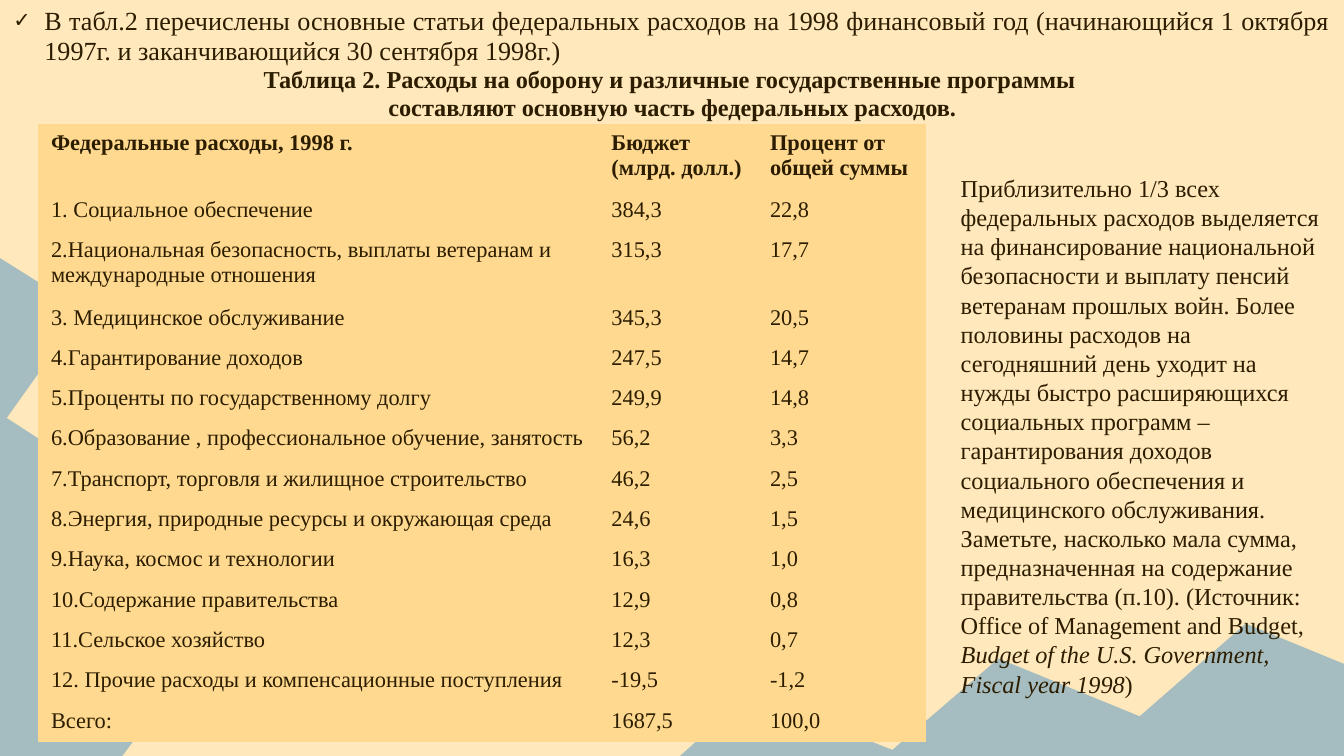
from lxml import etree
from pptx import Presentation
from pptx.dml.color import RGBColor
from pptx.enum.text import MSO_ANCHOR, MSO_AUTO_SIZE, PP_ALIGN
from pptx.oxml.ns import qn
from pptx.util import Inches, Pt

CREAM = RGBColor(0xFF, 0xE8, 0xBB)
SAND = RGBColor(0xFF, 0xD9, 0x8F)
BLUE_GRAY = RGBColor(0xA5, 0xBD, 0xC0)
BROWN = RGBColor(0x2C, 0x1D, 0x00)
FONT = "Times New Roman"
NO_STYLE = "{2D5ABB26-0587-4C30-8999-92F81FD0307C}"
JUSTIFY, CENTER = PP_ALIGN.JUSTIFY, PP_ALIGN.CENTER
TOP, NO_FIT = MSO_ANCHOR.TOP, MSO_AUTO_SIZE.NONE


def add_run(p, text, size=12, bold=False, italic=False):
    r = p.add_run()
    r.text = text
    r.font.name = FONT
    r.font.size = Pt(size)
    r.font.bold = bold
    r.font.italic = italic
    r.font.color.rgb = BROWN


def set_bullet(p, char=None, margin=0.0):
    """Give the paragraph a hanging bullet, or none when char is None."""
    pPr = p._p.get_or_add_pPr()
    pPr.set("marL", str(Inches(margin)))
    pPr.set("indent", str(-Inches(margin)))
    if char is None:
        etree.SubElement(pPr, qn("a:buNone"))
        return
    color = etree.SubElement(pPr, qn("a:buClr"))
    etree.SubElement(color, qn("a:srgbClr"), val=str(BROWN))
    etree.SubElement(pPr, qn("a:buSzPct"), val="79000")
    etree.SubElement(pPr, qn("a:buChar"), char=char)


prs = Presentation()
prs.slide_width = Inches(10)
prs.slide_height = Inches(10) * 9 // 16
s = prs.slides.add_slide(prs.slide_layouts[1])
s.background.fill.solid()
s.background.fill.fore_color.rgb = CREAM
title, body = s.placeholders
title._element.getparent().remove(title._element)

# Mountain silhouettes along the left and bottom edges
bottom = prs.slide_height / Inches(1)
mountains = [
    [(0, 1.92), (0, bottom), (0.91, bottom), (1.32, 5.08), (0.39, 4.48),
     (0.96, 3.7), (0.05, 3.11), (0.62, 2.31)],
    [(5.06, bottom), (10, bottom), (10, 4.94), (9.27, 4.64), (8.48, 5.33),
     (7.43, 4.9), (6.64, 5.58), (5.58, 5.16)],
]
for points in mountains:
    start, *rest = [(Inches(x), Inches(y)) for x, y in points]
    builder = s.shapes.build_freeform(*start)
    builder.add_line_segments(rest, close=True)
    sp = builder.convert_to_shape()
    sp.shadow.inherit = False
    sp.fill.solid()
    sp.fill.fore_color.rgb = BLUE_GRAY
    sp.line.fill.background()
# Keep the text in front of the mountains
s.shapes._spTree.append(body._element)

# Introduction and table caption
body.left, body.top, body.width, body.height = Inches(0), Inches(0), Inches(10), Inches(1)
tf = body.text_frame
tf.auto_size = NO_FIT
tf.vertical_anchor = TOP
intro = [
    ("В табл.2 перечислены основные статьи федеральных расходов на 1998 финансовый год "
     "(начинающийся 1 октября 1997г. и заканчивающийся 30 сентября 1998г.)",
     JUSTIFY, 14, False, "✓", 0.23),
    ("Таблица 2. Расходы на оборону и различные государственные программы ",
     CENTER, 13, True, None, 0),
    ("составляют основную часть федеральных расходов.", CENTER, 13, True, None, 0),
]
for i, (text, align, size, bold, char, margin) in enumerate(intro):
    p = tf.add_paragraph() if i else tf.paragraphs[0]
    p.alignment = align
    p.line_spacing = 0.95
    p.space_before = Pt(0)
    set_bullet(p, char, margin)
    add_run(p, text, size=size, bold=bold)

# Federal spending table
rows = [
    ("Федеральные расходы, 1998 г.", "Бюджет\n(млрд. долл.)", "Процент от общей суммы"),
    ("1. Социальное обеспечение", "384,3", "22,8"),
    ("2.Национальная безопасность, выплаты ветеранам и международные отношения",
     "315,3", "17,7"),
    ("3. Медицинское обслуживание", "345,3", "20,5"),
    ("4.Гарантирование доходов", "247,5", "14,7"),
    ("5.Проценты по государственному долгу", "249,9", "14,8"),
    ("6.Образование , профессиональное обучение, занятость", "56,2", "3,3"),
    ("7.Транспорт, торговля и жилищное строительство", "46,2", "2,5"),
    ("8.Энергия, природные ресурсы и окружающая среда", "24,6", "1,5"),
    ("9.Наука, космос и технологии", "16,3", "1,0"),
    ("10.Содержание правительства", "12,9", "0,8"),
    ("11.Сельское хозяйство", "12,3", "0,7"),
    ("12. Прочие расходы и компенсационные поступления", "-19,5", "-1,2"),
    ("Всего:", "1687,5", "100,0"),
]
two_line_rows = (0, 2)
table = s.shapes.add_table(len(rows), 3, Inches(0.28), Inches(0.92),
                           Inches(6.61), Inches(4.6)).table
table.horz_banding = False
table._tbl.tblPr.find(qn("a:tableStyleId")).text = NO_STYLE
for col, width in zip(table.columns, (4.17, 1.18, 1.26)):
    col.width = Inches(width)
for i, texts in enumerate(rows):
    table.rows[i].height = Inches(0.5 if i in two_line_rows else 0.3)
    for cell, text in zip(table.rows[i].cells, texts):
        cell.fill.solid()
        cell.fill.fore_color.rgb = SAND
        for j, line in enumerate(text.split("\n")):
            tf = cell.text_frame
            p = tf.add_paragraph() if j else tf.paragraphs[0]
            add_run(p, line, bold=i == 0)

# Commentary beside the table
note = s.shapes.add_textbox(Inches(7.05), Inches(1.24), Inches(2.95), Inches(4.04))
tf = note.text_frame
tf.word_wrap = True
p = tf.paragraphs[0]
add_run(p, "Приблизительно 1/3 всех федеральных расходов выделяется на финансирование "
           "национальной безопасности и выплату пенсий ветеранам прошлых войн. Более "
           "половины расходов на сегодняшний день уходит на нужды быстро расширяющихся "
           "социальных программ – гарантирования доходов социального обеспечения и "
           "медицинского обслуживания. Заметьте, насколько мала сумма, предназначенная "
           "на содержание правительства (п.10). (Источник: "
           "Office of Management and Budget, ", size=13)
add_run(p, "Budget of the U.S. Government, Fiscal year 1998", size=13, italic=True)
add_run(p, ")", size=13)

prs.save("out.pptx")
